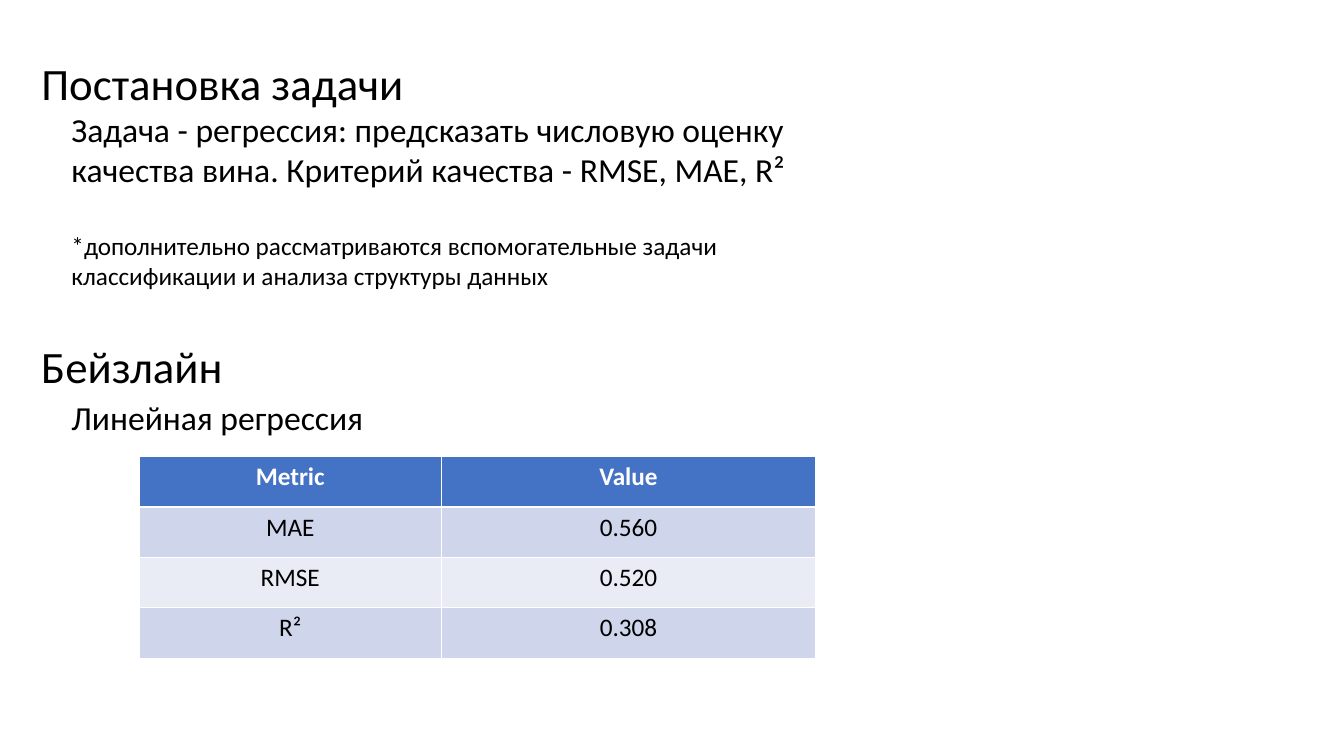
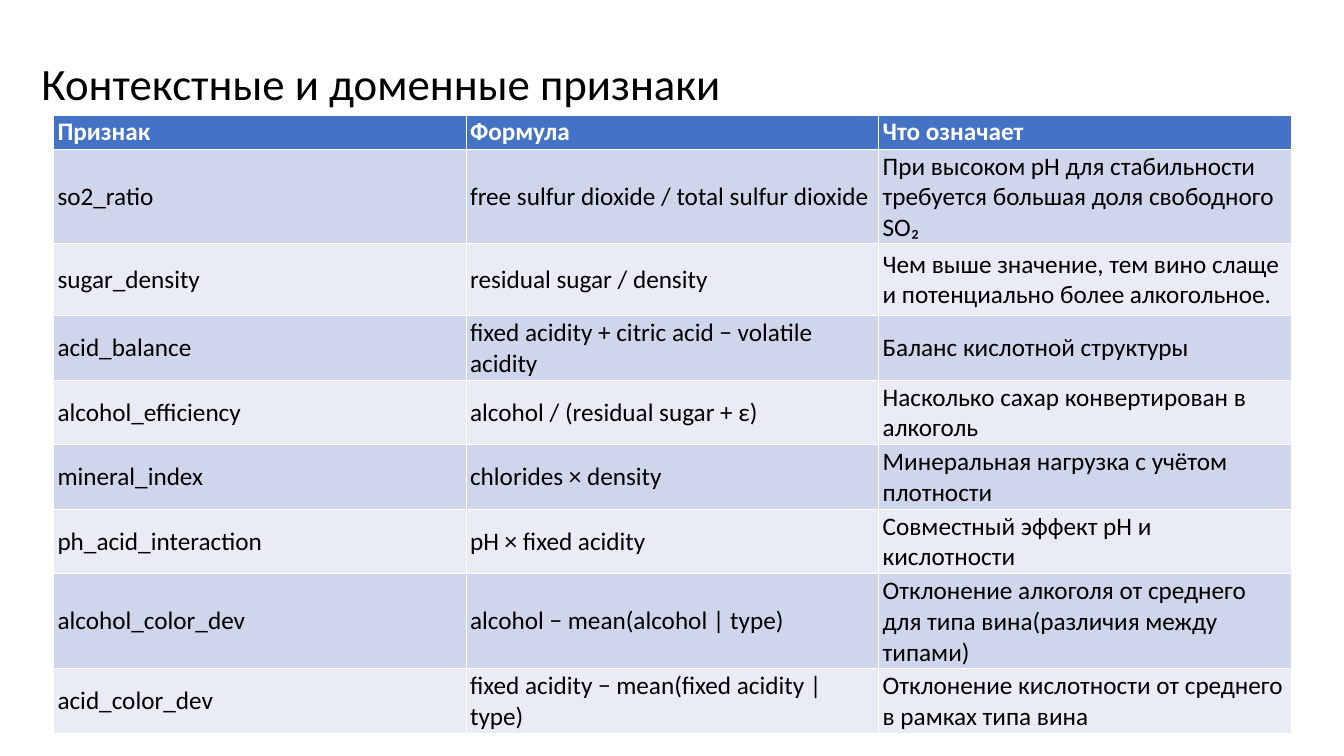
"""Build two slides on a wine quality task: the baseline and the features."""
import pptx
import pptx.dml.color
import pptx.enum.text
import pptx.util

deck = pptx.Presentation()
deck.slide_width = pptx.util.Inches(13.33)
deck.slide_height = pptx.util.Inches(7.5)
col = deck.slide_width / 100
row = deck.slide_height / 100

hue = pptx.dml.color.RGBColor.from_string
align = pptx.enum.text.PP_ALIGN
mid = pptx.enum.text.MSO_ANCHOR.MIDDLE
blue, bands = "4472C4", ("E9EBF5", "CFD5EA")
black, white = "000000", "FFFFFF"
frame = {
    "word_wrap": True,
    "auto_size": pptx.enum.text.MSO_AUTO_SIZE.SHAPE_TO_FIT_TEXT,
    "vertical_anchor": pptx.enum.text.MSO_ANCHOR.TOP,
}


def write(para, text, size, side=align.LEFT, tint=black, bold=False):
    """Put one styled run into a paragraph."""
    para.alignment = side
    run = para.add_run()
    run.text = text
    font = {"name": "Calibri", "size": pptx.util.Pt(size), "bold": bold}
    for key, val in font.items():
        setattr(run.font, key, val)
    run.font.color.rgb = hue(tint)


slides = [
    [
        (2.33, 6.67, 50, 8.53, [("Постановка задачи", 32, 0)]),
        (4.58, 13.73, 56.5, 25.6, [
            ("Задача - регрессия: предсказать числовую оценку качества вина. "
             "Критерий качества - RMSE, MAE, R²", 24, 0),
            ("*дополнительно рассматриваются вспомогательные задачи "
             "классификации и анализа структуры данных", 18, 29),
        ]),
        (2.33, 44.13, 50, 8.53, [("Бейзлайн", 32, 0)]),
        (4.58, 51.87, 56.5, 6.67, [("Линейная регрессия", 24, 0)]),
    ],
    [(2.33, 6.67, 58.75, 8.53, [("Контекстные и доменные признаки", 32, 0)])],
]

inset = {"margin_left": 0.04, "margin_right": 0.04,
         "margin_top": 0.02, "margin_bottom": 0.02}
tables = [
    {
        "left": 10.35, "top": 60.4, "cols": [22.5, 27.83],
        "rows": [6.67] * 4, "side": align.CENTER, "cell": {},
        "data": [
            ("Metric", "Value"),
            ("MAE", "0.560"),
            ("RMSE", "0.520"),
            ("R²", "0.308"),
        ],
    },
    {
        "left": 3.98, "top": 15.2, "cols": [30.7] * 3,
        "rows": [4.5, 12.4, 9.5] + [8.5] * 4 + [12.6, 8.5],
        "side": align.LEFT,
        "cell": {"vertical_anchor": mid}
        | {key: pptx.util.Inches(val) for key, val in inset.items()},
        "data": [
            ("Признак", "Формула", "Что означает"),
            ("so2_ratio", "free sulfur dioxide / total sulfur dioxide",
             "При высоком pH для стабильности требуется большая доля "
             "свободного SO₂"),
            ("sugar_density", "residual sugar / density",
             "Чем выше значение, тем вино слаще и потенциально более "
             "алкогольное."),
            ("acid_balance", "fixed acidity + citric acid − volatile acidity",
             "Баланс кислотной структуры"),
            ("alcohol_efficiency", "alcohol / (residual sugar + ε)",
             "Насколько сахар конвертирован в алкоголь"),
            ("mineral_index", "chlorides × density",
             "Минеральная нагрузка с учётом плотности"),
            ("ph_acid_interaction", "pH × fixed acidity",
             "Совместный эффект pH и кислотности"),
            ("alcohol_color_dev", "alcohol − mean(alcohol | type)",
             "Отклонение алкоголя от среднего для типа вина(различия между "
             "типами)"),
            ("acid_color_dev", "fixed acidity − mean(fixed acidity | type)",
             "Отклонение кислотности от среднего в рамках типа вина"),
        ],
    },
]

for texts, plan in zip(slides, tables):
    slide = deck.slides.add_slide(deck.slide_layouts[5])
    for num, (left, top, wide, high, lines) in enumerate(texts):
        box = slide.shapes.title if num == 0 else slide.shapes.add_textbox(0, 0, 0, 0)
        place = {"left": left * col, "top": top * row,
                 "width": wide * col, "height": high * row}
        for key, val in place.items():
            setattr(box, key, int(val))
        for key, val in frame.items():
            setattr(box.text_frame, key, val)
        for line, (text, size, gap) in enumerate(lines):
            body = box.text_frame
            para = body.add_paragraph() if line else body.paragraphs[0]
            para.space_before = pptx.util.Pt(gap)
            write(para, text, size)

    grid = slide.shapes.add_table(
        len(plan["rows"]), len(plan["cols"]),
        int(plan["left"] * col), int(plan["top"] * row),
        int(sum(plan["cols"]) * col), int(sum(plan["rows"]) * row)).table
    for part, wide in zip(grid.columns, plan["cols"]):
        part.width = int(wide * col)
    for part, high in zip(grid.rows, plan["rows"]):
        part.height = int(high * row)
    for down, words in enumerate(plan["data"]):
        head = down == 0
        for over, text in enumerate(words):
            cell = grid.cell(down, over)
            for key, val in plan["cell"].items():
                setattr(cell, key, val)
            cell.fill.solid()
            cell.fill.fore_color.rgb = hue(blue if head else bands[down % 2])
            write(cell.text_frame.paragraphs[0], text, 18, plan["side"],
                  white if head else black, head)

deck.save("out.pptx")
